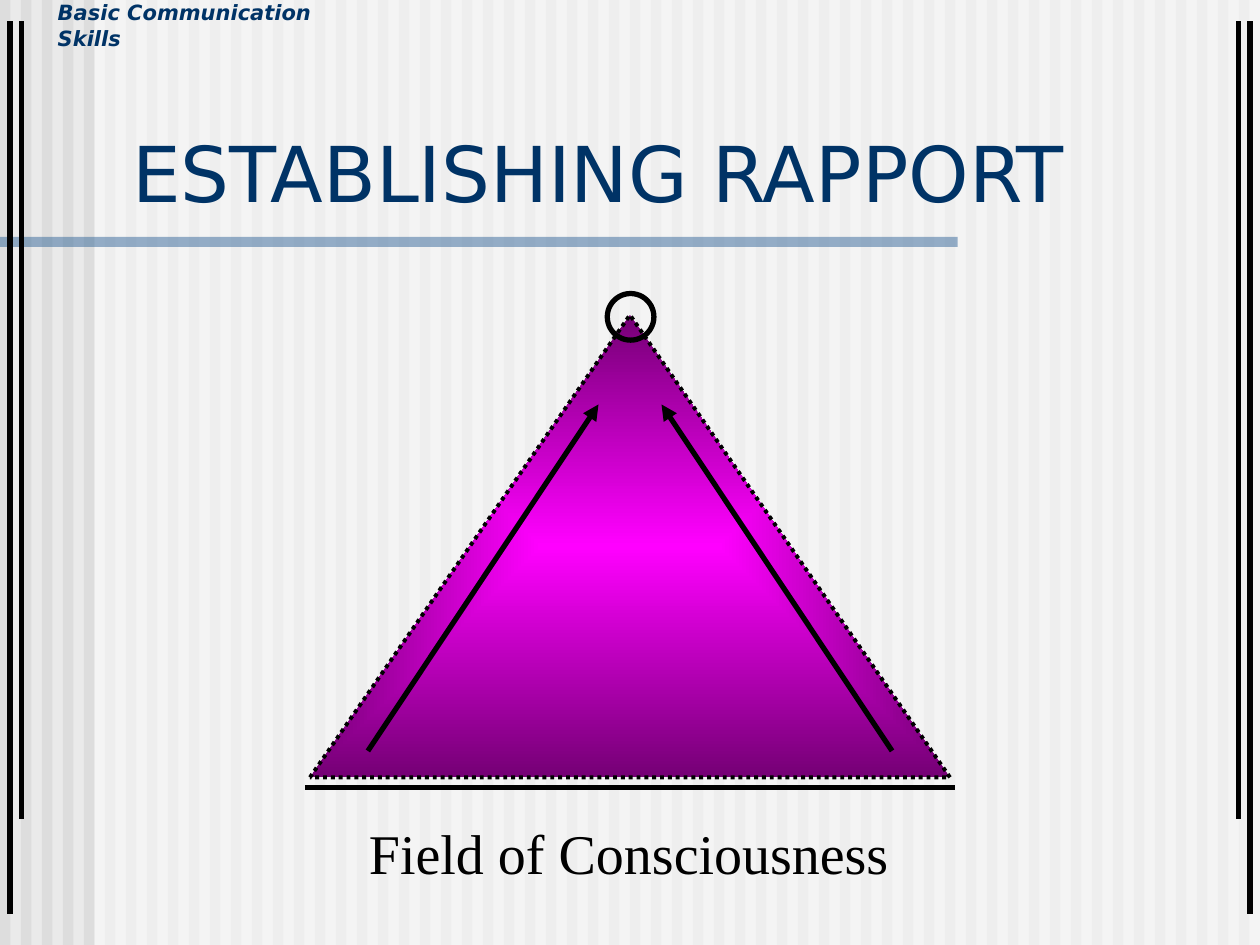
from lxml import etree
from pptx import Presentation
from pptx.dml.color import RGBColor
from pptx.enum import dml, shapes as s, text as t
from pptx.oxml import parse_xml
from pptx.oxml.ns import qn, nsdecls
from pptx.util import Inches, Pt

PAPER = RGBColor(0xEA, 0xEA, 0xEA)
STRIPE = RGBColor(0xDD, 0xDD, 0xDD)
WHITE = RGBColor(0xFF, 0xFF, 0xFF)
BLUE = RGBColor(0x33, 0x66, 0x99)
NAVY = RGBColor(0x00, 0x33, 0x66)
BLACK = RGBColor(0x00, 0x00, 0x00)
PINK = RGBColor(0xFF, 0x00, 0xFF)
PLUM = RGBColor(0x75, 0x00, 0x75)

prs = Presentation()
prs.slide_width, prs.slide_height = Inches(10), Inches(7.5)
slide = prs.slides.add_slide(prs.slide_layouts[6])
slide.background.fill.solid()
slide.background.fill.fore_color.rgb = PAPER
items = slide.shapes


def write(words, box, size, font, color, bold=False, italic=False,
          wrap=True, anchor=t.MSO_ANCHOR.TOP):
    frame = items.add_textbox(*map(Inches, box)).text_frame
    frame.word_wrap = wrap
    frame.vertical_anchor = anchor
    run = frame.paragraphs[0].add_run()
    run.text = words
    run.font.size, run.font.name = Pt(size), font
    run.font.bold, run.font.italic = bold, italic
    run.font.color.rgb = color


def draw(kind, box, fill=None, line=None, width=3):
    shape = items.add_shape(kind, *map(Inches, box))
    shape.shadow.inherit = False
    if fill is None:
        shape.fill.background()
    else:
        shape.fill.solid()
        shape.fill.fore_color.rgb = fill
    if line is None:
        shape.line.fill.background()
    else:
        shape.line.color.rgb = line
        shape.line.width = Pt(width)
    return shape


# Background stripes, six to the inch
RECT = s.MSO_SHAPE.RECTANGLE
for i in range(60):
    draw(RECT, (i / 6, 0, 1 / 12, 7.5), STRIPE)

# Half-transparent veil and title bar
for box, color in (((0.75, 0, 9.25, 7.5), WHITE),
                   ((0, 1.88, 7.6, 0.08), BLUE)):
    veil = draw(RECT, box, color)
    tone = veil.fill._xPr.find(".//" + qn("a:srgbClr"))
    etree.SubElement(tone, qn("a:alpha"), val="50000")

# Header
write("Basic Communication Skills", (0.36, -0.05, 2.35, 0.3), 12,
      "DejaVu Sans", NAVY, bold=True, italic=True)

# Triangle with a gradient that darkens from its centre
cone = draw(s.MSO_SHAPE.ISOSCELES_TRIANGLE, (2.46, 2.5, 5.08, 3.67),
            PINK, BLACK, 2.25)
cone.line.dash_style = dml.MSO_LINE.ROUND_DOT
solid = cone.fill._xPr.find(qn("a:solidFill"))
solid.getparent().replace(solid, parse_xml(
    f'<a:gradFill {nsdecls("a")} rotWithShape="1"><a:gsLst>'
    f'<a:gs pos="0"><a:srgbClr val="{PINK}"/></a:gs>'
    f'<a:gs pos="100000"><a:srgbClr val="{PLUM}"/></a:gs></a:gsLst>'
    '<a:path path="rect"><a:fillToRect l="50000" t="50000" r="50000" '
    'b="50000"/></a:path></a:gradFill>'))

write("Field of Consciousness", (2.83, 6.45, 4.33, 0.64), 32,
      "Times New Roman", BLACK, wrap=False)

# Circle at the top of the triangle
draw(s.MSO_SHAPE.OVAL, (4.82, 2.33, 0.37, 0.37), line=BLACK)

# Side rules, base line and the two arrows: x1, y1, x2, y2, arrowhead
lines = [(2.42, 6.25, 7.58, 6.25, False)]
for x, end in ((0.08, 7.25), (0.17, 6.5)):
    lines += [(x, 0.17, x, end, False), (10 - x, 0.17, 10 - x, end, False)]
lines += [(2.92, 5.96, 4.75, 3.21, True), (7.08, 5.96, 5.25, 3.21, True)]
for *ends, head in lines:
    rule = items.add_connector(s.MSO_CONNECTOR.STRAIGHT, *map(Inches, ends))
    rule.line.color.rgb = BLACK
    rule.line.width = Pt(3)
    if head:
        etree.SubElement(rule.line._get_or_add_ln(), qn("a:tailEnd"),
                         type="triangle")
    etree.SubElement(rule._element.spPr, qn("a:effectLst"))

# Title
write("ESTABLISHING RAPPORT", (0.95, 0.94, 8.93, 0.84), 44,
      "DejaVu Sans", NAVY, anchor=t.MSO_ANCHOR.BOTTOM)

prs.save("out.pptx")
